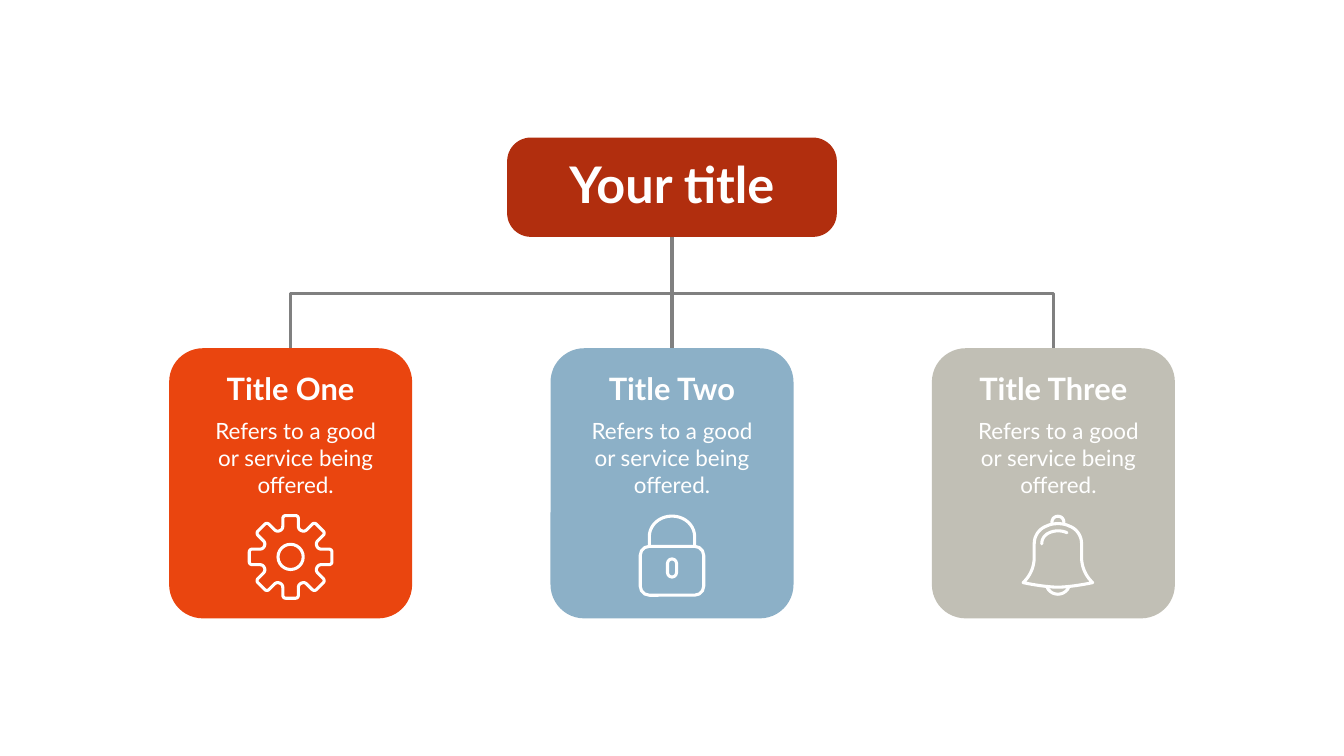
from dataclasses import dataclass
from math import cos, pi, sin
from typing import Callable

from pptx import Presentation
from pptx.dml.color import RGBColor
from pptx.enum.shapes import MSO_CONNECTOR as Connector, MSO_SHAPE as Shape
from pptx.enum.text import MSO_AUTO_SIZE as AutoSize, PP_ALIGN as Align
from pptx.oxml.ns import qn
from pptx.oxml.xmlchemy import OxmlElement
from pptx.util import Inches, Pt


@dataclass(frozen=True)
class Theme:
    """Colours, font and sizes shared by the whole chart."""
    font: str = "Lato"
    white: str = "FFFFFF"
    branch: str = "808080"
    root: str = "B12E0E"
    orange: str = "EA450F"
    blue: str = "8CB0C7"
    stone: str = "C1BFB5"
    root_size: float = 72
    title_size: float = 44
    note_size: float = 32
    branch_width: float = 4.62
    icon_width: float = 4.4


@dataclass(frozen=True)
class Card:
    """Content of one card, with the sideways shift of its note and icon."""
    title: str
    note: str
    color: str
    icon: Callable
    note_shift: float = 0
    icon_shift: float = 0


THEME = Theme()


def style(shape, fill=None, line=None, width=0):
    """Give a shape a flat fill and a round-capped line, or none of either."""
    shape.shadow.inherit = False
    if fill:
        shape.fill.solid()
        shape.fill.fore_color.rgb = RGBColor.from_string(fill)
    else:
        shape.fill.background()
    if line:
        shape.line.color.rgb = RGBColor.from_string(line)
        shape.line.width = Pt(width)
        shape.element.spPr.find(qn("a:ln")).set("cap", "rnd")
    else:
        shape.line.fill.background()


def add_preset(slide, preset, box, radius=None, **look):
    """Place a styled preset shape, with its corner radius in inches."""
    shape = slide.shapes.add_shape(preset, *map(Inches, box))
    if radius is not None:
        shape.adjustments[0] = radius / min(box[2:])
    style(shape, **look)


def add_text(slide, box, words, size, bold=False, wrap=False):
    """Place centred white text in a box."""
    frame = slide.shapes.add_textbox(*map(Inches, box)).text_frame
    frame.word_wrap = wrap
    frame.auto_size = AutoSize.SHAPE_TO_FIT_TEXT
    paragraph = frame.paragraphs[0]
    paragraph.alignment = Align.CENTER
    run = paragraph.add_run()
    run.text = words
    run.font.name, run.font.size, run.font.bold = THEME.font, Pt(size), bold
    run.font.color.rgb = RGBColor.from_string(THEME.white)


def trace(start, *segments, steps=10):
    """Turn line (x, y) and cubic (six numbers) segments into points."""
    points = [start]
    for segment in segments:
        if len(segment) == 2:
            points.append(segment)
            continue
        x0, y0 = points[-1]
        x1, y1, x2, y2, x3, y3 = segment
        for step in range(1, steps + 1):
            t = step / steps
            a, b, c, d = (1 - t) ** 3, 3 * t * (1 - t) ** 2, 3 * t * t * (1 - t), t ** 3
            points.append((a * x0 + b * x1 + c * x2 + d * x3,
                           a * y0 + b * y1 + c * y2 + d * y3))
    return points


def mirror(points):
    """Add the left half to a right half, joined at its last point."""
    return points + [(-x, y) for x, y in reversed(points)]


def add_outline(slide, x, y, contours, color, width):
    """Draw (points, closed) contours as one unfilled freeform at x, y."""
    placed = [([(Inches(x + px), Inches(y + py)) for px, py in points], closed)
              for points, closed in contours]
    builder = slide.shapes.build_freeform(*placed[0][0][0], scale=1.0)
    for index, (points, closed) in enumerate(placed):
        if index:
            builder.move_to(*points[0])
        builder.add_line_segments(points[1:], close=closed)
    style(builder.convert_to_shape(), line=color, width=width)


def draw_gear(slide, x, y):
    """Draw an eight-toothed gear in the area centred on x, from y down."""
    look = dict(line=THEME.white, width=THEME.icon_width)
    middle = y + 0.85
    tooth = mirror(trace((0.215, -0.52), (0.17, -0.54, 0.155, -0.57, 0.155, -0.61),
                         (0.155, -0.76), (0.155, -0.79, 0.13, -0.82, 0.1, -0.82)))[::-1]
    turns = [index * pi / 4 for index in range(8)]
    rim = [(px * cos(a) - py * sin(a), px * sin(a) + py * cos(a))
           for a in turns for px, py in tooth]
    add_outline(slide, x, middle, [(rim, True)], THEME.white, THEME.icon_width)
    add_preset(slide, Shape.OVAL, (x - 0.25, middle - 0.25, 0.5, 0.5), **look)


def draw_lock(slide, x, y):
    """Draw a padlock in the area centred on x, from y down."""
    look = dict(line=THEME.white, width=THEME.icon_width)
    shackle = mirror(trace((0.45, 0.64), (0.45, 0.45), (0.45, 0.22, 0.25, 0.04, 0, 0.04)))
    add_outline(slide, x, y, [(shackle, False)], THEME.white, THEME.icon_width)
    rounded = Shape.ROUNDED_RECTANGLE
    add_preset(slide, rounded, (x - 0.63, y + 0.64, 1.26, 0.97), 0.18, **look)
    add_preset(slide, rounded, (x - 0.09, y + 0.89, 0.18, 0.36), 0.09, **look)


def draw_bell(slide, x, y):
    """Draw a bell in the area centred on x, from y down."""
    body = mirror(trace((0, 1.45), (0.15, 1.45, 0.4, 1.42, 0.69, 1.36),
                        (0.56, 1.24, 0.47, 1.06, 0.47, 0.86), (0.47, 0.59),
                        (0.47, 0.41, 0.35, 0.28, 0.23, 0.24),
                        (0.15, 0.2, 0.08, 0.19, 0, 0.19)))
    knob = trace((-0.12, 0.17), (-0.12, 0, 0.12, 0, 0.12, 0.17))
    clapper = trace((-0.22, 1.44), (-0.14, 1.64, 0.14, 1.64, 0.22, 1.44))
    shine = trace((-0.32, 0.59), (-0.32, 0.47, -0.24, 0.4, -0.17, 0.37),
                  (-0.06, 0.32, 0.07, 0.32, 0.18, 0.37))
    frame = [(body, True), (knob, False), (clapper, False)]
    for contours in (frame, [(shine, False)]):
        add_outline(slide, x, y, contours, THEME.white, THEME.icon_width)


def draw_branches(slide, left, top, width, height, bar_y):
    """Join the root to the cards with a trunk and a three-sided bracket."""
    center, bottom = left + width / 2, top + height
    trunk = slide.shapes.add_connector(
        Connector.STRAIGHT, *map(Inches, (center, top, center, bottom)))
    trunk.line.color.rgb = RGBColor.from_string(THEME.branch)
    trunk.line.width = Pt(THEME.branch_width)
    trunk.element.spPr.append(OxmlElement("a:effectLst"))
    drop = bottom - bar_y
    bracket = [(0, drop), (0, 0), (width, 0), (width, drop)]
    add_outline(slide, left, bar_y, [(bracket, False)], THEME.branch, THEME.branch_width)


def draw_root(slide, left, top, width, height, words):
    """Draw the top box and its heading."""
    add_preset(slide, Shape.ROUNDED_RECTANGLE, (left, top, width, height), 0.47,
               fill=THEME.root)
    add_text(slide, (left + 1.04, top + 0.25, width - 2.08, 1.31), words,
             THEME.root_size, bold=True)


def draw_card(slide, left, top, width, height, card):
    """Draw one card with its title, note and icon."""
    center, note_width = left + width / 2, 3.41
    add_preset(slide, Shape.ROUNDED_RECTANGLE, (left, top, width, height), 0.67,
               fill=card.color)
    add_text(slide, (left + 0.81, top + 0.38, width - 1.62, 0.84), card.title,
             THEME.title_size, bold=True)
    add_text(slide, (center - note_width / 2 + card.note_shift, top + 1.32, note_width, 1.72),
             card.note, THEME.note_size, wrap=True)
    card.icon(slide, center + card.icon_shift, top + 3.29)


def main():
    """Build the slide and save it."""
    deck = Presentation()
    deck.slide_width, deck.slide_height = Inches(26.66), Inches(15)
    slide = deck.slides.add_slide(deck.slide_layouts[6])
    note = "Refers to a good or service being offered."
    cards = [Card("Title One", note, THEME.orange, draw_gear, note_shift=0.1),
             Card("Title Two", note, THEME.blue, draw_lock),
             Card("Title Three", note, THEME.stone, draw_bell, 0.1, 0.09)]
    center, pitch, card_top, card_width = 13.33, 7.565, 6.91, 4.82
    draw_branches(slide, center - pitch, 4.66, 2 * pitch, card_top - 4.66, bar_y=5.83)
    draw_root(slide, center - 3.27, 2.73, 6.54, 1.97, "Your title")
    for index, card in enumerate(cards):
        left = center + (index - 1) * pitch - card_width / 2
        draw_card(slide, left, card_top, card_width, 5.36, card)
    deck.save("out.pptx")


if __name__ == "__main__":
    main()
